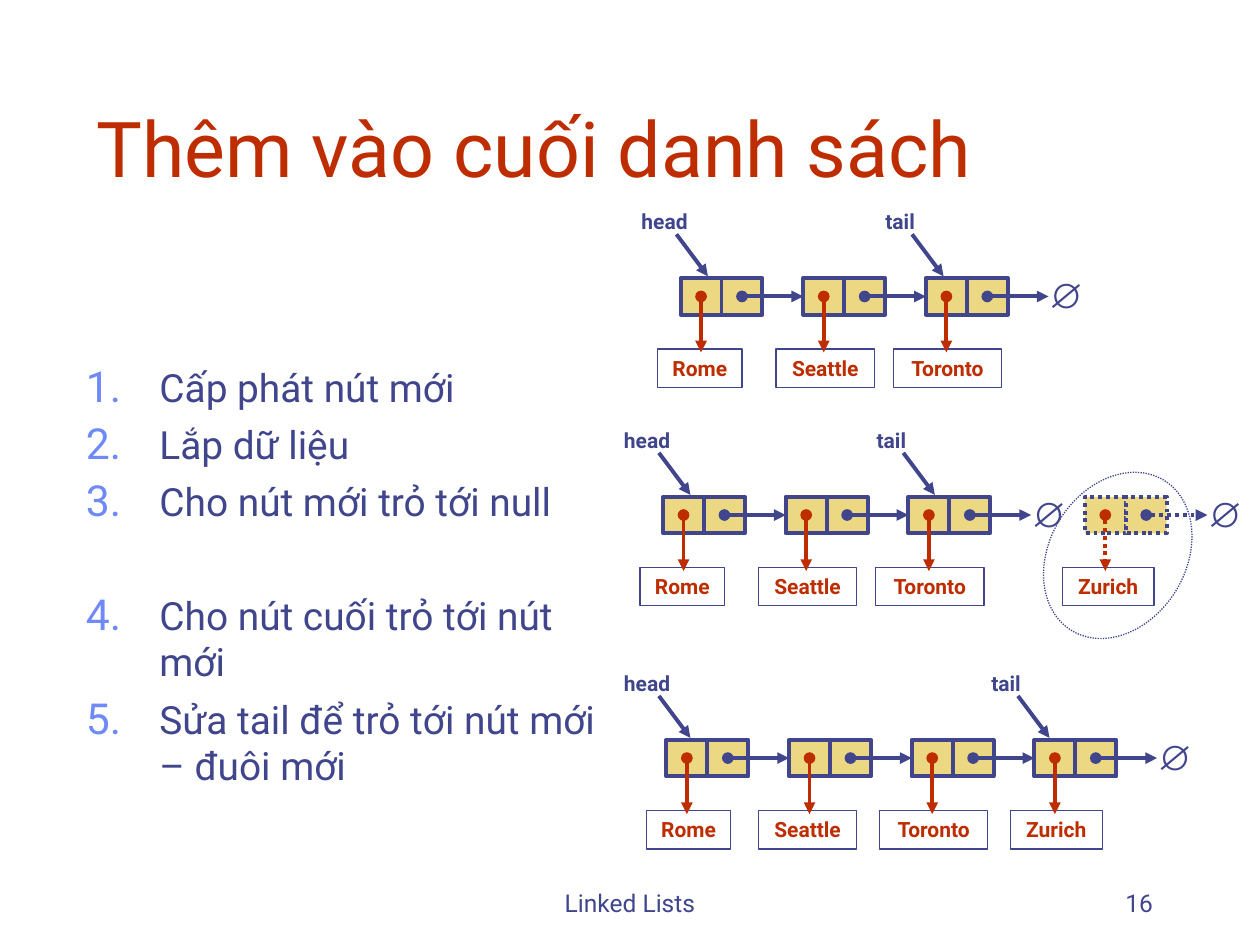
from dataclasses import dataclass

import lxml.etree
import pptx
import pptx.dml.color
import pptx.enum.dml
import pptx.enum.shapes
import pptx.enum.text
import pptx.oxml.ns
import pptx.util

Pt = pptx.util.Pt
Align = pptx.enum.text.PP_ALIGN
Anchor = pptx.enum.text.MSO_ANCHOR
Shape = pptx.enum.shapes.MSO_SHAPE

NAVY, RED, GOLD, BULLET_BLUE = "40458C", "BE2D00", "ECD882", "6F89F7"
CELL_WIDTH, CELL_HEIGHT, NODE_PITCH = 23.4, 20.9, 70.1
CITY_WIDTHS = {"Rome": 48.2, "Seattle": 56.2, "Toronto": 61.9, "Zurich": 52.5}


@dataclass
class Node:
    left: float
    city: str
    city_left: float
    dotted: bool = False
    ends_list: bool = False


@dataclass
class LinkedList:
    middle: float
    head_left: float
    tail_left: float
    nodes: list[Node]


@dataclass
class Step:
    text: str
    number: int
    space_before: float = 6


def chain(left: float, **city_lefts: float) -> list[Node]:
    """Evenly spaced nodes, the last one pointing to null."""
    return [
        Node(left + index * NODE_PITCH, city, city_left, ends_list=index == len(city_lefts) - 1)
        for index, (city, city_left) in enumerate(city_lefts.items())
    ]


LISTS = [
    LinkedList(169.4, 357.8, 497.5, chain(388.9, Rome=375.8, Seattle=443.5, Toronto=510.5)),
    LinkedList(294.3, 347.8, 492.5,
               chain(378.9, Rome=365.8, Seattle=433.4, Toronto=500.4)
               + [Node(619.9, "Zurich", 607, dotted=True, ends_list=True)]),
    LinkedList(433.2, 347.8, 558,
               chain(380.8, Rome=369.4, Seattle=433.4, Toronto=502.6, Zurich=577.4)),
]

STEPS = [
    Step("Cấp phát nút mới", 1),
    Step("Lắp dữ liệu", 2),
    Step("Cho nút mới trỏ tới null", 3),
    Step("Cho nút cuối trỏ tới nút mới", 4, space_before=38.5),
    Step("Sửa tail để trỏ tới nút mới – đuôi mới", 5),
]


def color(value: str):
    return pptx.dml.color.RGBColor.from_string(value)


def add_element(parent, tag: str, **attributes: str):
    element = lxml.etree.SubElement(parent, pptx.oxml.ns.qn(tag))
    for name, value in attributes.items():
        element.set(name, value)
    return element


def format_line(line, line_color: str, width: float, dotted: bool) -> None:
    line.color.rgb = color(line_color)
    line.width = Pt(width)
    if dotted:
        line.dash_style = pptx.enum.dml.MSO_LINE.ROUND_DOT


def add_outlined(slide, kind, left, top, width, height, *, fill=None, line_width=0.75,
                 dotted=False):
    shape = slide.shapes.add_shape(kind, Pt(left), Pt(top), Pt(width), Pt(height))
    shape.shadow.inherit = False
    if fill:
        shape.fill.solid()
        shape.fill.fore_color.rgb = color(fill)
    else:
        shape.fill.background()
    format_line(shape.line, NAVY, line_width, dotted)
    return shape


def add_box(slide, left, top, width, height):
    return slide.shapes.add_textbox(Pt(left), Pt(top), Pt(width), Pt(height))


def write_text(shape, text: str, *, size: float = 12, font: str = "Roboto",
               text_color: str = NAVY, bold: bool = False, align=Align.CENTER,
               anchor=Anchor.TOP, wrap: bool = False, append: bool = False):
    """Write one paragraph into the shape, after the others when append is set."""
    frame = shape.text_frame
    frame.word_wrap = wrap
    frame.vertical_anchor = anchor
    paragraph = frame.add_paragraph() if append else frame.paragraphs[0]
    paragraph.alignment = align
    run = paragraph.add_run()
    run.text = text
    run.font.size = Pt(size)
    run.font.name = font
    run.font.bold = bold
    run.font.color.rgb = color(text_color)
    return paragraph


def add_arrow(slide, start, end, *, line_color: str = NAVY, dotted: bool = False,
              oval_start: bool = True) -> None:
    connector = slide.shapes.add_connector(
        pptx.enum.shapes.MSO_CONNECTOR.STRAIGHT, *(Pt(value) for value in (*start, *end)))
    format_line(connector.line, line_color, 2.25, dotted)
    line_element = connector.line._get_or_add_ln()
    if oval_start:
        add_element(line_element, "a:headEnd", type="oval")
    add_element(line_element, "a:tailEnd", type="triangle")
    add_element(connector._element.spPr, "a:effectLst")


def draw_node(slide, node: Node, middle: float) -> None:
    for cell in range(2):
        add_outlined(slide, Shape.RECTANGLE, node.left + cell * CELL_WIDTH,
                     middle - CELL_HEIGHT / 2, CELL_WIDTH, CELL_HEIGHT,
                     fill=GOLD, line_width=2.25, dotted=node.dotted)
    city_box = add_outlined(slide, Shape.RECTANGLE, node.city_left, middle + 30.1,
                            CITY_WIDTHS[node.city], 21.8)
    write_text(city_box, node.city, text_color=RED, bold=True)
    data_x = node.left + CELL_WIDTH / 2
    next_x = data_x + CELL_WIDTH
    next_end = node.left + NODE_PITCH
    add_arrow(slide, (data_x, middle), (data_x, middle + 32), line_color=RED, dotted=node.dotted)
    add_arrow(slide, (next_x, middle), (next_end, middle), dotted=node.dotted)
    if node.ends_list:
        null_box = add_box(slide, next_end - 7, middle - 16.5, 30.2, 31.5)
        write_text(null_box, "∅", size=20, font="Arial", bold=True)


def draw_label(slide, text: str, left: float, width: float, middle: float) -> None:
    """Name a node and point an arrow at it."""
    write_text(add_box(slide, left, middle - 53.7, width, 21.8), text, bold=True)
    arrow_x = left + width / 2 + 6.8
    add_arrow(slide, (arrow_x, middle - 35.5), (arrow_x + 18, middle - 11.5), oval_start=False)


def draw_list(slide, linked_list: LinkedList) -> None:
    for node in linked_list.nodes:
        draw_node(slide, node, linked_list.middle)
    draw_label(slide, "head", linked_list.head_left, 43.9, linked_list.middle)
    draw_label(slide, "tail", linked_list.tail_left, 33.8, linked_list.middle)


def draw_steps(slide) -> None:
    box = add_box(slide, 42, 204, 312, 294)
    for step in STEPS:
        paragraph = write_text(box, step.text, size=22.2, align=Align.LEFT, wrap=True,
                               append=step.number > 1)
        paragraph.space_before = Pt(step.space_before)
        properties = paragraph._p.get_or_add_pPr()
        properties.set("marL", str(Pt(42)))
        properties.set("indent", str(-Pt(42)))
        add_element(add_element(properties, "a:buClr"), "a:srgbClr", val=BULLET_BLUE)
        add_element(properties, "a:buSzPct", val="110000")
        add_element(properties, "a:buFont", typeface="Roboto")
        start = 1 if step.number < 4 else 4
        add_element(properties, "a:buAutoNum", type="arabicPeriod", startAt=str(start))


def main() -> None:
    presentation = pptx.Presentation()
    presentation.slide_width, presentation.slide_height = Pt(720), Pt(540)
    slide = presentation.slides.add_slide(presentation.slide_layouts[6])
    write_text(add_box(slide, 48, 24, 612, 90), "Thêm vào cuối danh sách", size=44,
               text_color=RED, align=Align.LEFT, anchor=Anchor.BOTTOM, wrap=True)
    draw_steps(slide)
    for linked_list in LISTS:
        draw_list(slide, linked_list)
    new_node_ring = add_outlined(slide, Shape.OVAL, 599.8, 267, 77.8, 100.8, dotted=True)
    new_node_ring.rotation = 31.8
    write_text(add_box(slide, 246, 492, 228, 36), "Linked Lists", size=14,
               anchor=Anchor.BOTTOM, wrap=True)
    write_text(add_box(slide, 516, 492, 150, 36), "16", size=14, align=Align.RIGHT,
               anchor=Anchor.BOTTOM, wrap=True)
    presentation.save("out.pptx")


if __name__ == "__main__":
    main()
